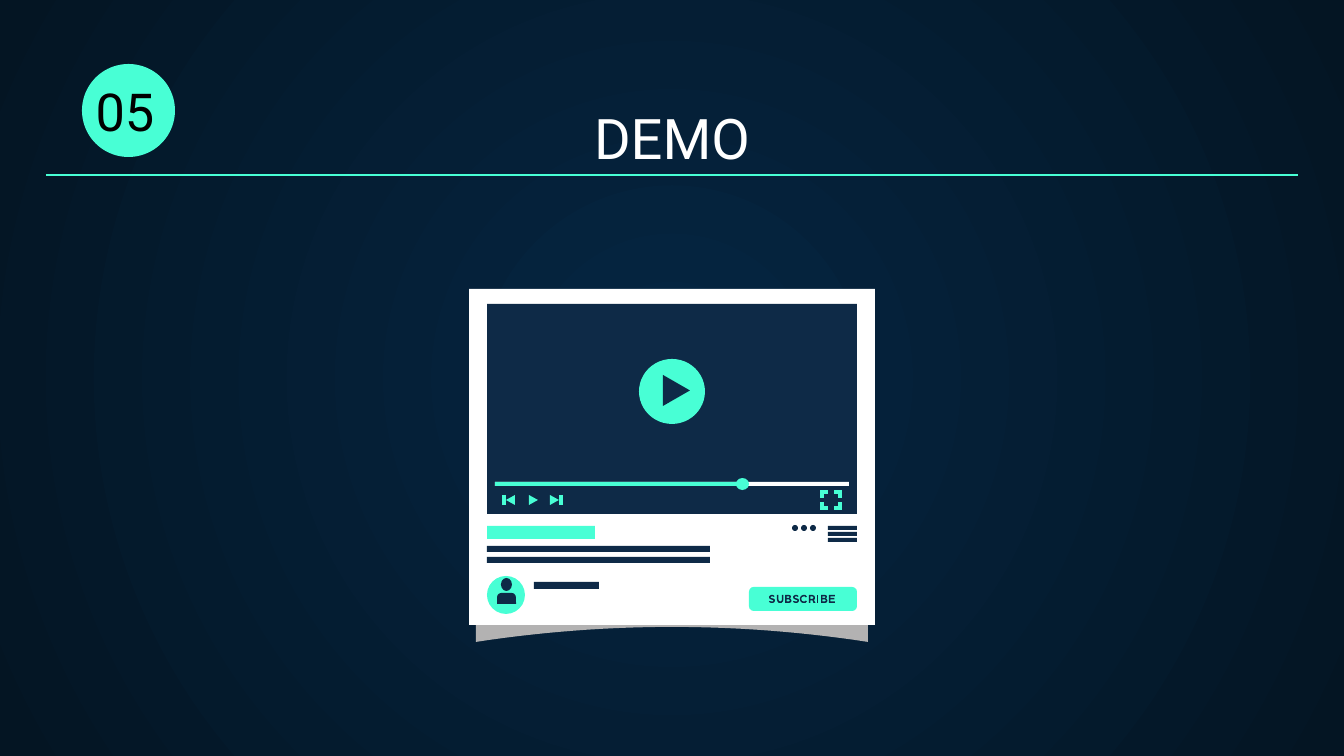
import pptx
import pptx.util
import pptx.oxml
import pptx.oxml.ns
from pptx.dml.color import RGBColor
from pptx.enum.shapes import MSO_CONNECTOR, MSO_SHAPE
from pptx.enum.text import MSO_ANCHOR, PP_ALIGN

MINT = RGBColor(0x48, 0xFF, 0xD5)
NAVY = RGBColor(0x0E, 0x2A, 0x47)
WHITE = RGBColor(0xFF, 0xFF, 0xFF)
BLACK = RGBColor(0, 0, 0)
GREY = RGBColor(0xB3, 0xB2, 0xB2)
GLOW = RGBColor(0x05, 0x26, 0x43)
DARK = RGBColor(0x04, 0x15, 0x23)

FONT = "Roboto"
PX_PER_INCH = 134.4
ICON_LINE = 2.45

RECT, OVAL = MSO_SHAPE.RECTANGLE, MSO_SHAPE.OVAL
ROUND, ROUND_TOP = MSO_SHAPE.ROUNDED_RECTANGLE, MSO_SHAPE.ROUND_2_SAME_RECTANGLE

# preset, (left, top, width, height), colour
PLAYER_PARTS = [
    (RECT, (469, 289, 406, 336), WHITE),   # card
    (RECT, (487, 304, 370, 210), NAVY),    # screen
    (RECT, (495, 482, 354, 4), WHITE),     # track
    (RECT, (495, 482, 248, 4), MINT),      # played part
    (OVAL, (639, 359, 66, 65), MINT),      # play button
    (OVAL, (736, 478, 13, 12), MINT),      # track handle
    (RECT, (487, 526, 108, 13), MINT),     # video title
    (RECT, (487, 546, 223, 6), NAVY),      # description
    (RECT, (487, 557, 223, 6), NAVY),
    (RECT, (534, 582, 65, 7), NAVY),       # channel name
    (ROUND, (749, 587, 108, 24), MINT),    # button
    (OVAL, (487, 576, 38, 38), MINT),      # avatar
    (OVAL, (501, 578, 11, 13), NAVY),
    (ROUND_TOP, (497, 593, 19, 11), NAVY),
]
PLAYER_PARTS += [(RECT, (828, 526 + 6 * i, 29, 4), NAVY) for i in range(3)]
PLAYER_PARTS += [(OVAL, (792 + 9 * i, 525, 6, 6), NAVY) for i in range(3)]
ROUNDING = {ROUND: 0.2, ROUND_TOP: 0.4}

# base x, tip x, top, bottom, colour
TRIANGLES = [
    (663, 690, 375, 406, NAVY),
    (529, 538, 495, 505, MINT),
    (550, 559, 495, 505, MINT),
    (515, 506, 495, 505, MINT),
]
SKIP_BARS = [504, 561]
CORNERS = [(x, y, dx, dy) for x, dx in ((822, 6), (840, -6))
           for y, dy in ((492, 6), (508, -6))]

# Button lettering: contours on a half-pixel grid, outer edge first, then holes
GLYPHS = {
    "S": [[(11, 2), (8, 0), (4, 0), (1, 2), (0, 4), (1, 7), (4, 9), (8, 10),
           (9, 11), (8, 13), (5, 13), (1, 12), (0, 14), (4, 16), (8, 16), (11, 14),
           (12, 11), (11, 8), (8, 7), (4, 6), (3, 4), (5, 3), (8, 3), (10, 4)]],
    "U": [[(0, 0), (0, 9), (1, 13), (4, 16), (9, 16), (12, 13), (13, 9), (13, 0),
           (10, 0), (10, 9), (9, 12), (7, 13), (6, 13), (4, 12), (3, 9), (3, 0)]],
    "B": [[(0, 0), (8, 0), (11, 1), (12, 4), (10, 7), (12, 9), (13, 12), (11, 15),
           (8, 16), (0, 16)],
          [(3, 3), (8, 3), (9, 4), (8, 6), (3, 6)],
          [(3, 9), (8, 9), (10, 11), (8, 13), (3, 13)]],
    "C": [[(14, 3), (11, 0), (6, 0), (2, 2), (0, 6), (0, 10), (2, 14), (6, 16),
           (11, 16), (14, 13), (12, 11), (10, 13), (7, 13), (4, 12), (3, 9), (3, 7),
           (4, 4), (7, 3), (10, 3), (12, 5)]],
    "R": [[(0, 0), (7, 0), (11, 2), (12, 5), (12, 8), (10, 10), (13, 16), (9, 16),
           (7, 11), (3, 11), (3, 16), (0, 16)],
          [(3, 3), (7, 3), (9, 5), (9, 6), (7, 8), (3, 8)]],
    "I": [[(0, 0), (3, 0), (3, 16), (0, 16)]],
    "E": [[(0, 0), (12, 0), (12, 3), (3, 3), (3, 6), (11, 6), (11, 9), (3, 9),
           (3, 13), (12, 13), (12, 16), (0, 16)]],
}
LETTERS = list(zip("SUBSCRIBE", (769, 777, 785, 793, 800, 809, 817, 821, 829)))
LETTER_TOP = 595


def px(value):
    return pptx.util.Emu(round(value * 914400 / PX_PER_INCH))


def xml(text):
    return pptx.oxml.parse_xml(text % pptx.oxml.ns.nsdecls("a"))


def paint(shape, colour):
    shape.shadow.inherit = False
    shape.fill.solid()
    shape.fill.fore_color.rgb = colour
    shape.line.fill.background()
    return shape


def add_part(shapes, preset, area, colour):
    return paint(shapes.add_shape(preset, *map(px, area)), colour)


def add_outline(shapes, *contours, close=True):
    scaled = [[(px(x), px(y)) for x, y in contour] for contour in contours]
    builder = shapes.build_freeform(*scaled[0][0])
    for i, (start, *rest) in enumerate(scaled):
        if i:
            builder.move_to(*start)
        builder.add_line_segments(rest, close=close)
    return builder.convert_to_shape()


def add_line(shapes, start, end, width):
    line = shapes.add_connector(MSO_CONNECTOR.STRAIGHT, *map(px, start + end))
    line.line.color.rgb = MINT
    line.line.width = pptx.util.Pt(width)
    line._element.spPr.append(xml("<a:effectLst %s/>"))


def write(shape, text, size, colour, align, anchor, inset=0):
    frame = shape.text_frame
    frame.text = text
    frame.word_wrap = True
    frame.vertical_anchor = anchor
    frame.margin_left = frame.margin_right = px(inset)
    frame.margin_top = frame.margin_bottom = px(inset)
    para = frame.paragraphs[0]
    para.alignment = align
    font = para.runs[0].font
    font.name, font.size = FONT, pptx.util.Pt(size)
    font.color.rgb = colour


def set_background(page):
    """Radial gradient, light in the middle of the page."""
    fill = page.background.fill
    fill.gradient()
    for stop, colour in zip(fill.gradient_stops, (GLOW, DARK)):
        stop.color.rgb = colour
    linear = page._element.find(".//" + pptx.oxml.ns.qn("a:lin"))
    linear.getparent().replace(linear, xml(
        '<a:path path="circle" %s><a:fillToRect l="50000" t="50000" '
        'r="50000" b="50000"/></a:path>'))


def add_player(page):
    shapes = page.shapes.add_group_shape().shapes

    # The card's shadow has a bottom edge that is a shallow arch.
    arch = [(672 + 14 * i, 627 + 15 * (i / 14) ** 2) for i in range(-14, 15)]
    top = [(x, y - 292) for x, y in reversed(arch)]
    paint(add_outline(shapes, arch + top), GREY)

    for preset, area, colour in PLAYER_PARTS:
        part = add_part(shapes, preset, area, colour)
        if preset in ROUNDING:
            part.adjustments[0] = ROUNDING[preset]
    for letter, left in LETTERS:
        contours = [[(left + x / 2, LETTER_TOP + y / 2) for x, y in contour]
                    for contour in GLYPHS[letter]]
        paint(add_outline(shapes, *contours), NAVY)
    for base, tip, upper, lower, colour in TRIANGLES:
        points = [(base, upper), (base, lower), (tip, (upper + lower) / 2)]
        paint(add_outline(shapes, points), colour)
    for x in SKIP_BARS:
        add_line(shapes, (x, 495), (x, 505), ICON_LINE)
    for x, y, dx, dy in CORNERS:
        points = [(x, y + dy), (x, y), (x + dx, y)]
        corner = add_outline(shapes, points, close=False)
        corner.shadow.inherit = False
        corner.fill.background()
        corner.line.color.rgb = MINT
        corner.line.width = pptx.util.Pt(ICON_LINE)
        corner.line._ln.append(xml('<a:miter lim="800000" %s/>'))


def main():
    deck = pptx.Presentation()
    deck.slide_width, deck.slide_height = px(1344), px(756)
    page = deck.slides.add_slide(deck.slide_layouts[6])
    set_background(page)

    title = page.shapes.add_textbox(*map(px, (46, 95, 1252, 89)))
    write(title, "DEMO", 30, WHITE, PP_ALIGN.CENTER, MSO_ANCHOR.BOTTOM, inset=13)
    add_player(page)
    add_line(page.shapes, (46, 175), (1298, 175), 0.75)
    badge = add_part(page.shapes, OVAL, (82, 64, 93, 93), MINT)
    write(badge, "05", 28, BLACK, PP_ALIGN.LEFT, MSO_ANCHOR.MIDDLE)

    deck.save("out.pptx")


if __name__ == "__main__":
    main()
